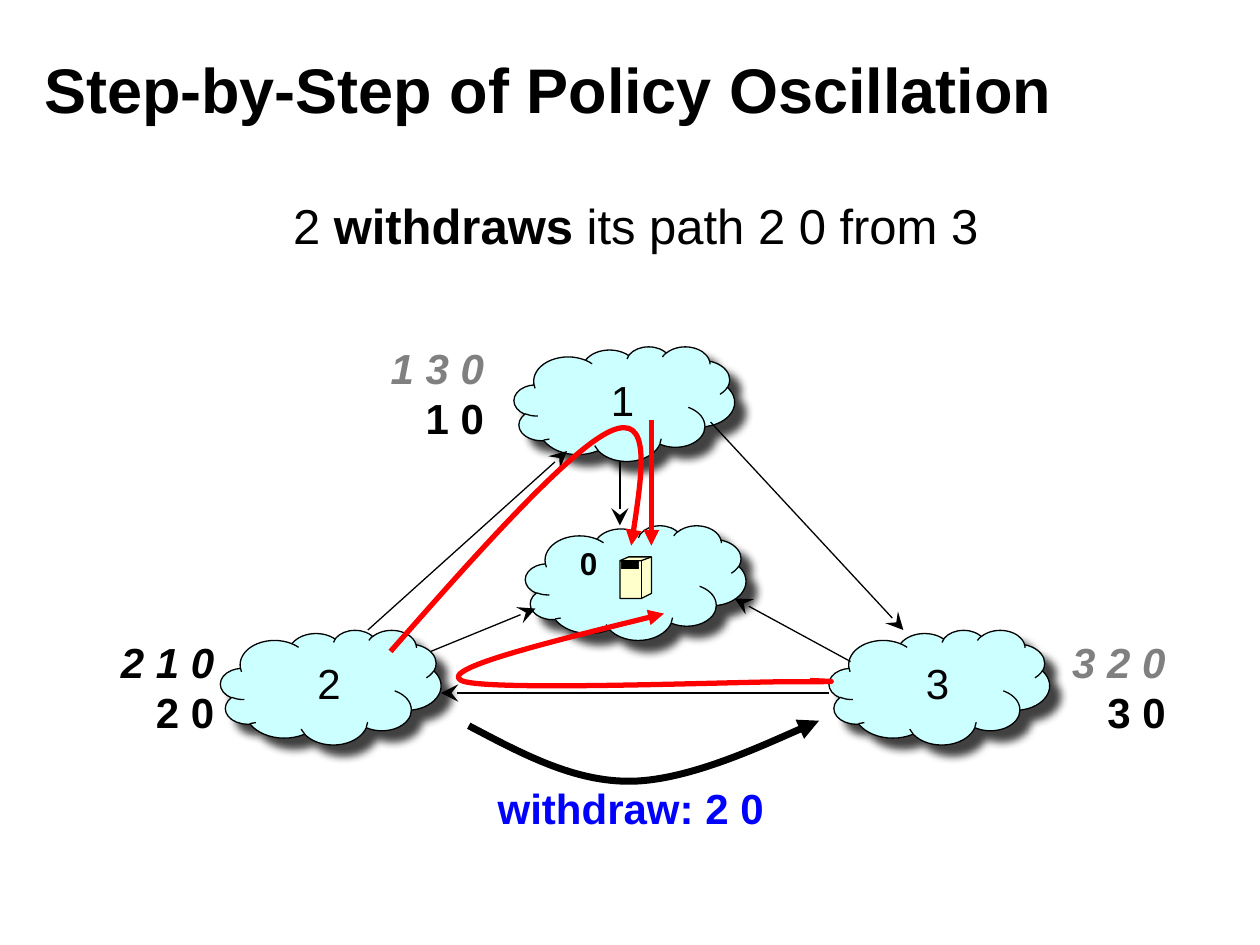
from pptx import Presentation
from pptx import util as u
from pptx.dml.color import RGBColor
from pptx.enum import shapes, text
from pptx.oxml import parse_xml
from pptx.oxml.ns import nsdecls, qn

BLACK, GRAY, RED, BLUE = "000000", "808080", "FF0000", "0000FF"
AQUA, CREAM = "CCFFFF", "FFFFCC"
CLOUD = (1.75, 0.91)
NUM, PREF = (0.39, 0.5), (0.94, 0.9)
GRID = 100  # freeform units to the inch

TITLE = "Step-by-Step of Policy Oscillation"
STEP = [("2 ", False), ("withdraws ", True), ("its path 2 0 from 3", False)]

HUB = (4.17, 4.17)
# name, cloud corner, name corner, preference corner, (first path, colour), second path
NODES = [
    ("1", (4.08, 2.75), (4.75, 2.92), (3, 2.67), ("1 3 0", GRAY), "1 0"),
    ("2", (1.75, 5), (2.42, 5.17), (0.86, 5), ("2 1 0", BLACK), "2 0"),
    ("3", (6.58, 5), (7.25, 5.17), (8.41, 5), ("3 2 0", GRAY), "3 0"),
]
DOWN = ((4.92, 3.58), (4.92, 4.17))
LINKS = [
    ((2.92, 5), (4.5, 3.58)),
    ((6.58, 5.5), (3.5, 5.5)),
    ((5.64, 3.35), (7.17, 5)),
    ((3.42, 5.17), (4.25, 4.83)),
    ((6.75, 5.25), (5.83, 4.75)),
]
DIRECT = ((5.17, 3.33), (5.17, 4.33))
# start point, then two handles and an end point for each piece
FROM3 = [(6.43, 5.4), (6.59, 5.41), (6.76, 5.41), (6.3, 5.41),
         (5.84, 5.41), (3.83, 5.49), (3.66, 5.4),
         (3.49, 5.31), (4.38, 5.09), (5.27, 4.87)]
FROM2 = [(3.1, 5.17), (3.81, 4.36), (4.53, 3.56), (4.85, 3.42),
         (5.17, 3.28), (5.09, 3.81), (5.01, 4.33)]
NOTICE = [(3.72, 5.76), (4.14, 5.98), (4.56, 6.21), (5.02, 6.2),
          (5.48, 6.19), (6.5, 5.72), (6.5, 5.72)]

BOX = [(4.92, 4.45), (4.99, 4.42), (5.17, 4.42), (5.17, 4.71),
       (5.09, 4.75), (4.92, 4.75), (4.92, 4.45)]
EDGES = [[(4.92, 4.45), (5.09, 4.45), (5.17, 4.42)],
         [(5.09, 4.45), (5.09, 4.75)]]
SLOTS = [[(4.93, y), (5.07, y), (5.07, y + 0.01), (4.93, y + 0.01), (4.93, y)]
         for y in (4.46, 4.48, 4.5)]

prs = Presentation()
prs.slide_width, prs.slide_height = u.Inches(10), u.Inches(7.5)
slide = prs.slides.add_slide(prs.slide_layouts[5])
items = slide.shapes


def rgb(code):
    return RGBColor.from_string(code)


def inch(*vals):
    return [u.Inches(v) for v in vals]


def ink(shape, color, width, fill=None):
    shape.line.color.rgb, shape.line.width = rgb(color), u.Pt(width)
    shape.shadow.inherit = False
    if fill:
        shape.fill.solid()
        shape.fill.fore_color.rgb = rgb(fill)
    else:
        shape.fill.background()


def tip(shape, kind, size="med"):
    """Put an arrowhead at the end of a line."""
    ln = shape.line._get_or_add_ln()
    ln.append(parse_xml(
        f'<a:tailEnd {nsdecls("a")} type="{kind}" w="{size}" len="{size}"/>'))


def write(par, words, size, color=BLACK, bold=False, italic=False):
    run = par.add_run()
    run.text, font = words, run.font
    font.name, font.size, font.color.rgb = "Arial", u.Pt(size), rgb(color)
    font.bold, font.italic = bold, italic


def label(at, size, align=None, wrap=False):
    """Add an empty text box and return its frame."""
    frame = items.add_textbox(*inch(*at, *size)).text_frame
    frame.word_wrap = wrap
    frame.paragraphs[0].alignment = align
    return frame


def cloud(at):
    shape = items.add_shape(shapes.MSO_SHAPE.CLOUD, *inch(*at, *CLOUD))
    ink(shape, BLACK, 0.75, AQUA)
    shape._element.spPr.find(qn("a:effectLst")).append(parse_xml(
        f'<a:outerShdw {nsdecls("a")} blurRad="{u.Pt(5)}" dist="{u.Pt(8.5)}" '
        'dir="2700000" algn="ctr" rotWithShape="0"><a:srgbClr val="000000">'
        '<a:alpha val="75000"/></a:srgbClr></a:outerShdw>'))


def arrow(ends, color=BLACK, width=0.75, kind="stealth", size="lg"):
    (x1, y1), (x2, y2) = ends
    line = items.add_connector(shapes.MSO_CONNECTOR.STRAIGHT, *inch(x1, y1, x2, y2))
    line.line.color.rgb, line.line.width = rgb(color), u.Pt(width)
    tip(line, kind, size)
    line._element.spPr.append(parse_xml(f'<a:effectLst {nsdecls("a")}/>'))


def outline(parts):
    """Draw point lists, in inches, as one freeform."""
    parts = [[(round(x * GRID), round(y * GRID)) for x, y in part] for part in parts]
    pen = items.build_freeform(*parts[0][0], scale=u.Inches(1) / GRID)
    for i, part in enumerate(parts):
        if i:
            pen.move_to(*part[0])
        pen.add_line_segments(part[1:], close=part[0] == part[-1])
    return pen.convert_to_shape()


def curve(points, color, width):
    """Draw a freeform, turning each three line steps into one Bezier piece."""
    shape = outline([points])
    track = shape._element.spPr.find(".//" + qn("a:path"))
    steps = track.findall(qn("a:lnTo"))
    for i in range(0, len(steps), 3):
        bend = parse_xml(f'<a:cubicBezTo {nsdecls("a")}/>')
        track.append(bend)
        for step in steps[i:i + 3]:
            bend.append(step[0])
            track.remove(step)
    ink(shape, color, width)
    tip(shape, "triangle")


def server():
    ink(outline([BOX]), BLACK, 0.75, CREAM)
    ink(outline(EDGES + SLOTS), BLACK, 0.75)


def main():
    right, center = text.PP_ALIGN.RIGHT, text.PP_ALIGN.CENTER

    title = items.title
    title.left, title.top, title.width, title.height = inch(0.25, 0.33, 10.5, 0.75)
    title.text_frame.vertical_anchor = text.MSO_ANCHOR.MIDDLE
    par = title.text_frame.paragraphs[0]
    par.alignment = text.PP_ALIGN.LEFT
    write(par, TITLE, 36, bold=True)

    cloud(HUB)
    server()
    arrow(DOWN)
    for node in NODES:
        cloud(node[1])
    for ends in LINKS:
        arrow(ends)

    for name, _, spot, side, (first, shade), second in NODES:
        write(label(spot, NUM).paragraphs[0], name, 24)
        frame = label(side, PREF, right)
        write(frame.paragraphs[0], first, 24, shade, True, True)
        par = frame.add_paragraph()
        par.alignment = right
        write(par, second, 24, bold=True)
    write(label((4.5, 4.27), (0.34, 0.4), right).paragraphs[0], "0", 18, bold=True)

    curve(FROM3, RED, 3)
    arrow(DIRECT, RED, 3, "triangle", "med")
    curve(FROM2, RED, 3)
    write(label((3.82, 6.16), (2.34, 0.51), right).paragraphs[0],
          "withdraw: 2 0", 24, BLUE, True)
    curve(NOTICE, BLACK, 4)

    par = label((0.67, 1.5), (8.75, 0.57), center, True).paragraphs[0]
    for words, bold in STEP:
        write(par, words, 28, bold=bold)
    prs.save("out.pptx")


if __name__ == "__main__":
    main()
